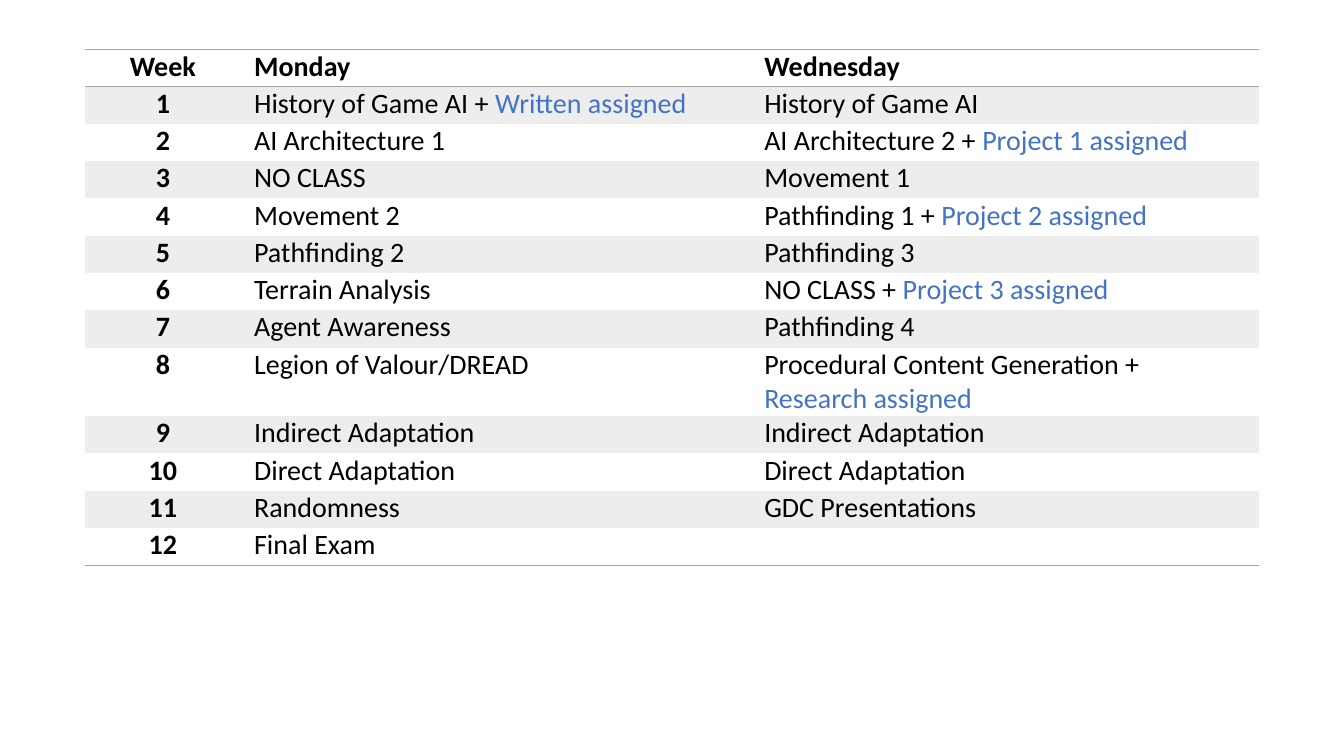
from lxml import etree
from pptx import Presentation
from pptx.dml.color import RGBColor
from pptx.enum import text
from pptx.oxml.ns import qn
from pptx.util import Inches, Pt

COLORS = {"text": "000000", "assigned": "4472C4", "rule": "A5A5A5", "band": "EDEDED"}
NO_STYLE_NO_GRID = "{2D5ABB26-0587-4C30-8999-92F81FD0307C}"
COLUMN_WIDTHS = (1.55, 5.06, 5.04)
ROW_HEIGHT = 0.37

# Each topic may be followed by "|" and the assignment handed out that day.
HEADER = ("Week", "Monday", "Wednesday")
CLASSES = [
    ("History of Game AI + |Written assigned", "History of Game AI"),
    ("AI Architecture 1", "AI Architecture 2 + |Project 1 assigned"),
    ("NO CLASS", "Movement 1"),
    ("Movement 2", "Pathfinding 1 + |Project 2 assigned"),
    ("Pathfinding 2", "Pathfinding 3"),
    ("Terrain Analysis", "NO CLASS + |Project 3 assigned"),
    ("Agent Awareness", "Pathfinding 4"),
    ("Legion of Valour/DREAD", "Procedural Content Generation + |Research assigned"),
    ("Indirect Adaptation", "Indirect Adaptation"),
    ("Direct Adaptation", "Direct Adaptation"),
    ("Randomness", "GDC Presentations"),
    ("Final Exam", ""),
]


def add_rule(cell, side):
    """Draw a thin border on one side of a cell: "T" or "B"."""
    ln = etree.SubElement(cell._tc.get_or_add_tcPr(), qn(f"a:ln{side}"), w=str(Pt(1)))
    fill = etree.SubElement(ln, qn("a:solidFill"))
    etree.SubElement(fill, qn("a:srgbClr"), val=COLORS["rule"])


def write_cell(cell, content, bold, centered):
    cell.margin_left = cell.margin_right = Inches(0.13)
    cell.margin_top = cell.margin_bottom = 0
    p = cell.text_frame.paragraphs[0]
    p.alignment = text.PP_ALIGN.CENTER if centered else text.PP_ALIGN.LEFT
    for part, color in zip(content.split("|"), ("text", "assigned")):
        if part:
            r = p.add_run()
            r.text = part
            r.font.name, r.font.size, r.font.bold = "Calibri", Pt(20), bold
            r.font.color.rgb = RGBColor.from_string(COLORS[color])


def add_schedule(slide, left, top):
    rows = [HEADER] + [(str(week), *days) for week, days in enumerate(CLASSES, 1)]
    frame = slide.shapes.add_table(
        len(rows), len(HEADER), Inches(left), Inches(top),
        Inches(sum(COLUMN_WIDTHS)), Inches(ROW_HEIGHT * len(rows)))
    table = frame.table
    table.horz_banding = False
    table._tbl.tblPr.find(qn("a:tableStyleId")).text = NO_STYLE_NO_GRID
    for column, width in zip(table.columns, COLUMN_WIDTHS):
        column.width = Inches(width)
    for i, row in enumerate(rows):
        table.rows[i].height = Inches(ROW_HEIGHT)
        for j, content in enumerate(row):
            cell = table.cell(i, j)
            write_cell(cell, content, bold=i == 0 or j == 0, centered=j == 0)
            if i == 0:
                add_rule(cell, "T")
            if i in (0, len(rows) - 1):
                add_rule(cell, "B")
            if i % 2:
                cell.fill.solid()
                cell.fill.fore_color.rgb = RGBColor.from_string(COLORS["band"])
            else:
                cell.fill.background()


def main():
    prs = Presentation()
    prs.slide_width, prs.slide_height = Inches(13.33), Inches(7.5)
    slide = prs.slides.add_slide(prs.slide_layouts[6])
    add_schedule(slide, 0.84, 0.49)
    prs.save("out.pptx")


if __name__ == "__main__":
    main()
